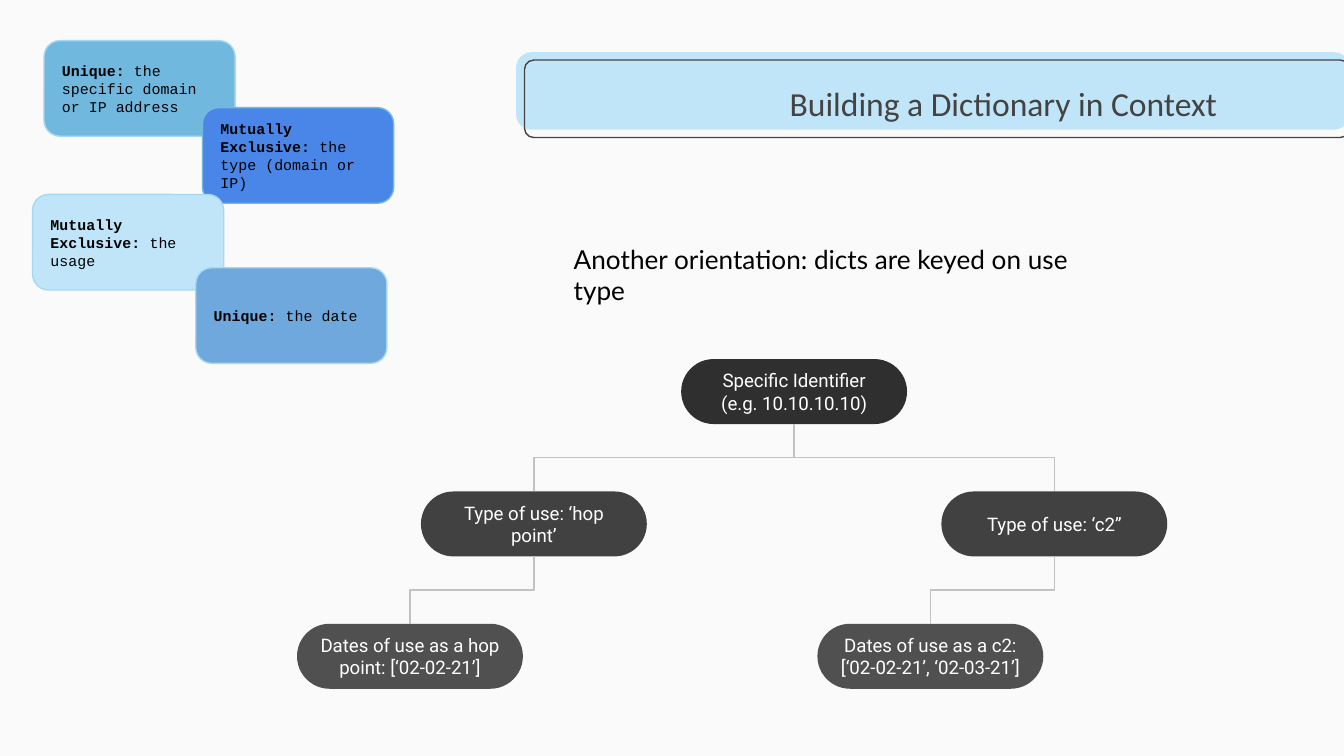
import dataclasses

import pptx
import pptx.dml.color
import pptx.enum.shapes
import pptx.enum.text
import pptx.oxml
import pptx.oxml.ns
import pptx.util

Pt = pptx.util.Pt
ALIGN = pptx.enum.text.PP_ALIGN
ANCHOR = pptx.enum.text.MSO_ANCHOR


@dataclasses.dataclass(frozen=True)
class Theme:
    background: str = "FAFAFA"
    banner: str = "C1E5F8"
    heading: str = "434343"
    black: str = "000000"
    white: str = "FFFFFF"
    card_fills: tuple = ("71B8DF", "4A86E8", "C1E5F8", "6FA8DC")
    card_edge: str = "A4D8F4"
    strong_edge: str = "71B8DF"
    level_fills: tuple = ("2F2F2F", "414141", "505050")
    branch: str = "C2C2C2"
    hairline: float = 0.75
    title_size: int = 18
    subtitle_size: int = 14
    node_size: int = 10
    card_size: int = 8


THEME = Theme()


def color(value):
    return pptx.dml.color.RGBColor.from_string(value)


def add_round_box(slide, box, roundness, fill=None, edge=None):
    shape = slide.shapes.add_shape(
        pptx.enum.shapes.MSO_SHAPE.ROUNDED_RECTANGLE, *map(Pt, box))
    shape.adjustments[0] = roundness
    shape.shadow.inherit = False
    if fill:
        shape.fill.solid()
        shape.fill.fore_color.rgb = color(fill)
    else:
        shape.fill.background()
    if edge:
        shape.line.color.rgb = color(edge)
        shape.line.width = Pt(THEME.hairline)
    else:
        shape.line.fill.background()
    return shape


def write(shape, runs, font, size, ink, align=ALIGN.LEFT, anchor=ANCHOR.MIDDLE):
    frame = shape.text_frame
    frame.word_wrap = True
    frame.vertical_anchor = anchor
    frame.margin_left = frame.margin_right = Pt(7.2)
    frame.margin_top = frame.margin_bottom = Pt(7.2)
    paragraph = frame.paragraphs[0]
    paragraph.alignment = align
    for text, bold in runs:
        run = paragraph.add_run()
        run.text = text
        run.font.name = font
        run.font.size = Pt(size)
        run.font.bold = bold
        run.font.color.rgb = color(ink)


def add_label(slide, box, text, font, size, ink, align, anchor):
    label = slide.shapes.add_textbox(*map(Pt, box))
    write(label, [(text, False)], font, size, ink, align, anchor)
    return label


def add_card(slide, left, top, term, detail, fill, edge):
    card = add_round_box(slide, (left, top, 102.4, 51.2), 0.167, fill, edge)
    write(card, [(term + ": ", True), (detail, False)],
          "Courier New", THEME.card_size, THEME.black)


def add_node(slide, center, level, text):
    width, height = 121, 34.8
    box = (center - width / 2, 192.4 + level * 70.9, width, height)
    node = add_round_box(slide, box, 0.5, THEME.level_fills[level])
    write(node, [(text, False)], "Roboto", THEME.node_size, THEME.white,
          ALIGN.CENTER)
    return node


def add_branch(slide, parent, child):
    start_x, start_y = parent.left + parent.width // 2, parent.top + parent.height
    end_x, end_y = child.left + child.width // 2, child.top
    branch = slide.shapes.add_connector(
        pptx.enum.shapes.MSO_CONNECTOR.ELBOW, start_x, start_y, end_x, end_y)
    branch.begin_connect(parent, 2)
    branch.end_connect(child, 0)

    drop, spread = end_y - start_y, abs(end_x - start_x)
    branch.left = (start_x + end_x - drop) // 2
    branch.top = (start_y + end_y - spread) // 2
    branch.width, branch.height = drop, spread
    goes_right = end_x > start_x
    properties = branch._element.spPr
    transform = properties.find(pptx.oxml.ns.qn("a:xfrm"))
    transform.set("rot", "16200000" if goes_right else "5400000")
    transform.set("flipH", "1" if goes_right else "0")
    transform.set("flipV", "0")

    branch.line.color.rgb = color(THEME.branch)
    branch.line.width = Pt(THEME.hairline)
    properties.append(pptx.oxml.parse_xml(
        "<a:effectLst %s/>" % pptx.oxml.ns.nsdecls("a")))


def add_heading(slide):
    add_round_box(slide, (276.5, 28, 446.5, 41.5), 0.199, THEME.banner)
    add_round_box(slide, (281, 32.2, 442, 41.5), 0.119, edge=THEME.heading)
    add_label(slide, (408, 36, 251.3, 38.2), "Building a Dictionary in Context",
              "Calibri", THEME.title_size, THEME.heading, ALIGN.RIGHT,
              ANCHOR.MIDDLE)


def add_cards(slide):
    cards = [
        (23.6, 21.8, "Unique", "the specific domain or IP address", THEME.card_edge),
        (108.5, 57.7, "Mutually Exclusive", "the type (domain or IP)",
         THEME.strong_edge),
        (17.5, 104.2, "Mutually Exclusive", "the usage", THEME.card_edge),
        (104.9, 143.5, "Unique", "the date", THEME.card_edge),
    ]
    for (left, top, term, detail, edge), fill in zip(cards, THEME.card_fills):
        add_card(slide, left, top, term, detail, fill, edge)


def add_tree(slide):
    root_center, use_offset, dates_offset = 425.4, 139.4, -66.4
    uses = [
        (1, "Type of use: ‘c2’’", "Dates of use as a c2: [‘02-02-21’, ‘02-03-21’]"),
        (-1, "Type of use: ‘hop point’", "Dates of use as a hop point: [‘02-02-21’]"),
    ]
    identifier = add_node(slide, root_center, 0,
                          "Specific Identifier (e.g. 10.10.10.10)")
    links = []
    for side, use_text, dates_text in uses:
        center = root_center + side * use_offset
        use = add_node(slide, center, 1, use_text)
        dates = add_node(slide, center + dates_offset, 2, dates_text)
        links += [(identifier, use), (use, dates)]
    for parent, child in links:
        add_branch(slide, parent, child)


def main():
    deck = pptx.Presentation()
    deck.slide_width, deck.slide_height = Pt(720), Pt(405)
    slide = deck.slides.add_slide(deck.slide_layouts[6])
    slide.background.fill.solid()
    slide.background.fill.fore_color.rgb = color(THEME.background)
    add_heading(slide)
    add_cards(slide)
    add_tree(slide)
    orientation = add_label(
        slide, (300.3, 123, 307.4, 31.7),
        "Another orientation: dicts are keyed on use type",
        "Lato", THEME.subtitle_size, THEME.black, ALIGN.LEFT, ANCHOR.TOP)
    orientation.text_frame.auto_size = (
        pptx.enum.text.MSO_AUTO_SIZE.SHAPE_TO_FIT_TEXT)
    deck.save("out.pptx")


if __name__ == "__main__":
    main()
